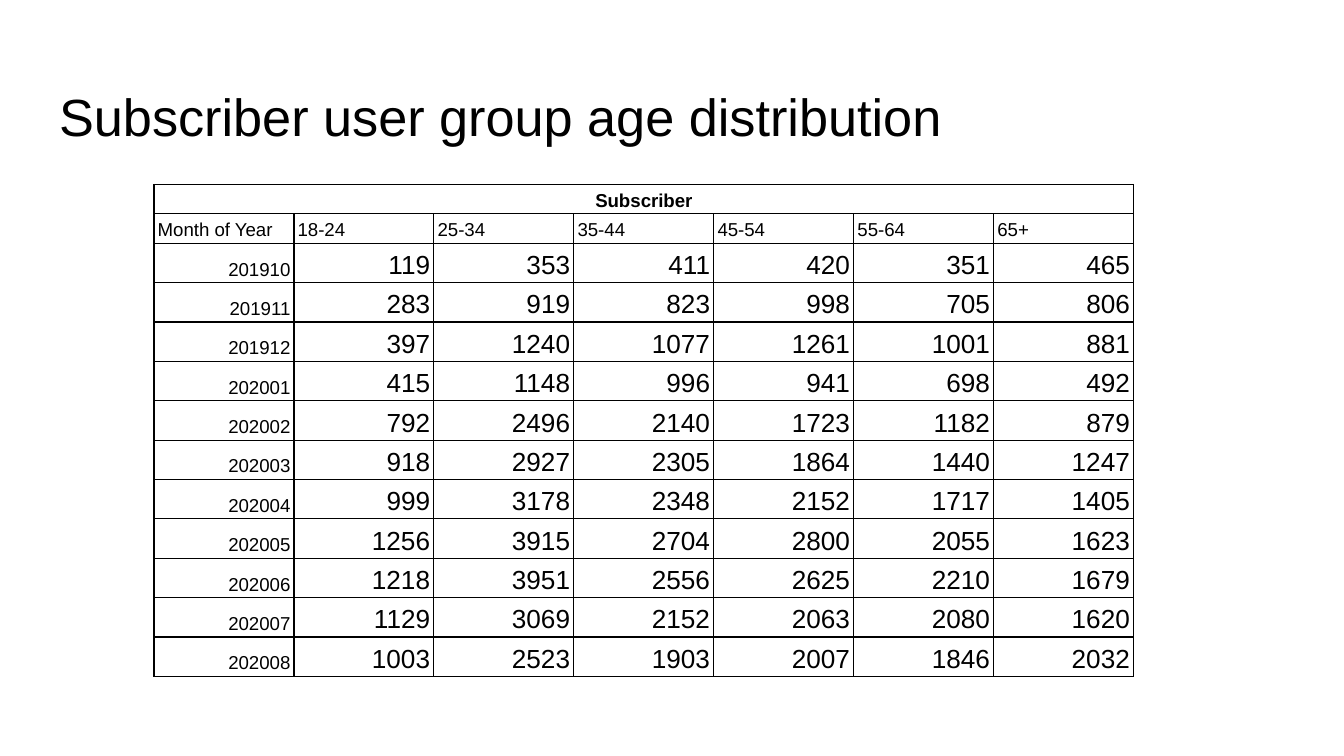
from pptx import Presentation
from pptx.dml.color import RGBColor
from pptx.enum import text as t
from pptx.oxml import parse_xml
from pptx.oxml.ns import nsdecls
from pptx.util import Pt

BLACK = RGBColor(0, 0, 0)
LEFT, MID, RIGHT = t.PP_ALIGN.LEFT, t.PP_ALIGN.CENTER, t.PP_ALIGN.RIGHT

AGES = ["Month of Year", "18-24", "25-34", "35-44", "45-54", "55-64", "65+"]
COUNTS = [
    [201910, 119, 353, 411, 420, 351, 465],
    [201911, 283, 919, 823, 998, 705, 806],
    [201912, 397, 1240, 1077, 1261, 1001, 881],
    [202001, 415, 1148, 996, 941, 698, 492],
    [202002, 792, 2496, 2140, 1723, 1182, 879],
    [202003, 918, 2927, 2305, 1864, 1440, 1247],
    [202004, 999, 3178, 2348, 2152, 1717, 1405],
    [202005, 1256, 3915, 2704, 2800, 2055, 1623],
    [202006, 1218, 3951, 2556, 2625, 2210, 1679],
    [202007, 1129, 3069, 2152, 2063, 2080, 1620],
    [202008, 1003, 2523, 1903, 2007, 1846, 2032],
]


def write(frame, words, size=10, bold=False, align=LEFT, space=1.15):
    para = frame.paragraphs[0]
    para.alignment = align
    para.line_spacing = space
    run = para.add_run()
    run.text = str(words)
    font = run.font
    font.name, font.size, font.bold = "Arial", Pt(size), bold
    font.color.rgb = BLACK


def border(cell):
    props = cell._tc.get_or_add_tcPr()
    for at, side in enumerate(("lnL", "lnR", "lnT", "lnB")):
        props.insert(at, parse_xml(
            f'<a:{side} {nsdecls("a")} w="{Pt(0.75)}"><a:solidFill>'
            f'<a:srgbClr val="{BLACK}"/></a:solidFill></a:{side}>'))


def style(cell):
    cell.fill.background()
    cell.vertical_anchor = t.MSO_ANCHOR.BOTTOM
    cell.margin_left = cell.margin_right = Pt(2)
    cell.margin_top = cell.margin_bottom = Pt(1.35)
    border(cell)


def add_title(slide, left, top, width, height):
    title = slide.shapes.title
    title.left, title.top = Pt(left), Pt(top)
    title.width, title.height = Pt(width), Pt(height)
    frame = title.text_frame
    frame.word_wrap = True
    frame.auto_size = t.MSO_AUTO_SIZE.NONE
    frame.vertical_anchor = t.MSO_ANCHOR.TOP
    frame.margin_left = frame.margin_right = Pt(7.2)
    frame.margin_top, frame.margin_bottom = Pt(10), Pt(7.2)
    write(frame, "Subscriber user group age distribution", size=28, space=1.0)


def add_grid(slide, left, top, width, head=15.8, body=21.1):
    rows, cols = len(COUNTS) + 2, len(AGES)
    high = 2 * head + len(COUNTS) * body
    table = slide.shapes.add_table(
        rows, cols, Pt(left), Pt(top), Pt(width), Pt(high)).table
    table.first_row = table.horz_banding = False
    for col in table.columns:
        col.width = Pt(width / cols)
    for r, row in enumerate(table.rows):
        row.height = Pt(head if r < 2 else body)
        for cell in row.cells:
            style(cell)
    table.cell(0, 0).merge(table.cell(0, cols - 1))
    write(table.cell(0, 0).text_frame, "Subscriber", bold=True, align=MID)
    for c, age in enumerate(AGES):
        write(table.cell(1, c).text_frame, age)
    for r, line in enumerate(COUNTS, 2):
        for c, count in enumerate(line):
            write(table.cell(r, c).text_frame, count,
                  size=14 if c else 10, align=RIGHT)


def main():
    deck = Presentation()
    deck.slide_width, deck.slide_height = Pt(720), Pt(405)
    slide = deck.slides.add_slide(deck.slide_layouts[5])
    add_title(slide, 24.5, 35, 671, 45)
    add_grid(slide, 82.5, 98.75, 525)
    deck.save("out.pptx")


if __name__ == "__main__":
    main()
